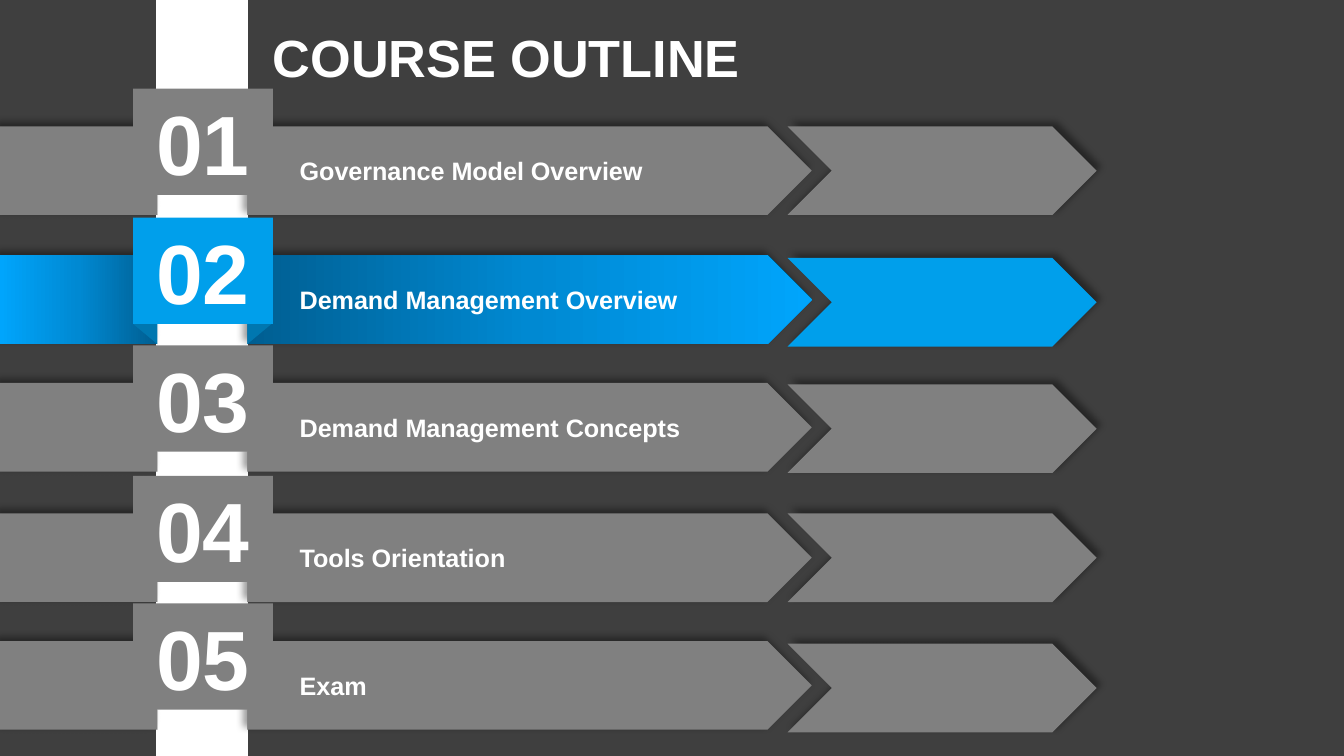
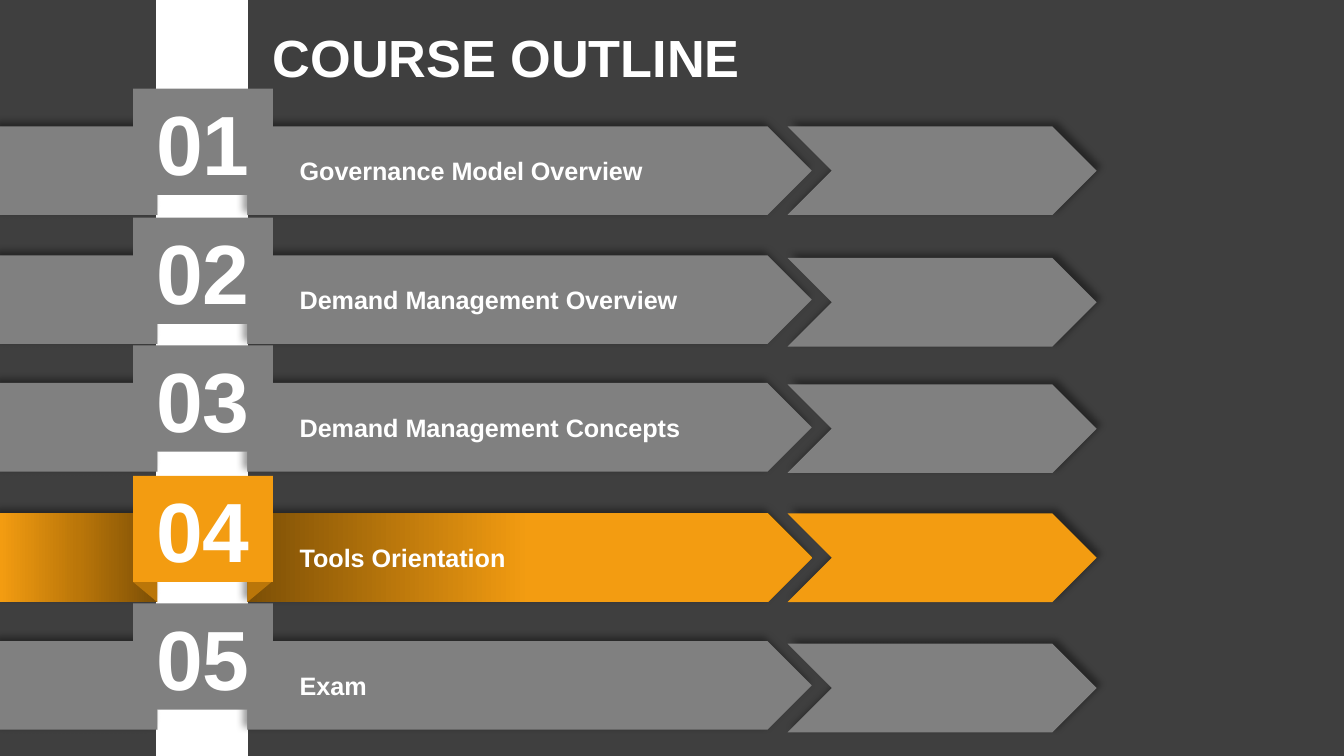
from copy import deepcopy

from lxml import etree
from pptx import Presentation
from pptx.dml.color import RGBColor
from pptx.enum.shapes import MSO_SHAPE
from pptx.enum.text import MSO_ANCHOR, MSO_AUTO_SIZE, PP_ALIGN
from pptx.oxml.ns import qn
from pptx.util import Inches, Pt

RECT = MSO_SHAPE.RECTANGLE
PENTAGON = MSO_SHAPE.PENTAGON
CHEVRON = MSO_SHAPE.CHEVRON
TRIANGLE = MSO_SHAPE.RIGHT_TRIANGLE
LEFT, CENTER = PP_ALIGN.LEFT, PP_ALIGN.CENTER
TOP, MIDDLE = MSO_ANCHOR.TOP, MSO_ANCHOR.MIDDLE
NO_AUTOFIT = MSO_AUTO_SIZE.NONE

# Widescreen 16:9
SLIDE_WIDTH = 10
SLIDE_HEIGHT = SLIDE_WIDTH * 9 / 16

FONT = "Arial"
BACKGROUND, WHITE, GRAY = "3F3F3F", "FFFFFF", "808080"
TITLE = "COURSE OUTLINE"

# Each colour scheme: number box, folds, ribbon and tail (lists are gradients)
MUTED = dict(main=GRAY, fold=GRAY, ribbon=GRAY, tail=GRAY)
BLUE_STOPS = ["005E91", "0089D2", "00A5FC"]
BLUE = dict(main="009FEB", fold="0077B0", ribbon=BLUE_STOPS, tail=BLUE_STOPS)
ORANGE = dict(main="F39C11", fold="BA7609",
              ribbon=["7C4F06", "F39C11", "F39C11"],
              tail=["7C4F06", "BA7609", "F39C11"])

# Topic, top of its ribbon, top of its chevron
TOPICS = [
    ("Governance Model Overview", 0.94, 0.94),
    ("Demand Management Overview", 1.90, 1.92),
    ("Demand Management Concepts", 2.85, 2.86),
    ("Tools Orientation", 3.82, 3.82),
    ("Exam", 4.77, 4.79),
]
# Highlighted topic number and its scheme, one entry a slide
SLIDES = [(2, BLUE), (4, ORANGE)]

BAR_LEFT, BAR_WIDTH = 1.17, 0.67
BAR_RIGHT = BAR_LEFT + BAR_WIDTH
BAND_HEIGHT = 0.66
FOLD_WIDTH, FOLD_HEIGHT = 0.18, 0.15
BOX_LEFT, BOX_HEIGHT = BAR_LEFT - FOLD_WIDTH, 0.79


def rgb(color):
    return RGBColor.from_string(color)


class OutlineDeck:
    def __init__(self):
        self.prs = Presentation()
        self.prs.slide_width = Inches(SLIDE_WIDTH)
        self.prs.slide_height = Inches(SLIDE_HEIGHT)
        self.slide = None

    def new_slide(self):
        self.slide = self.prs.slides.add_slide(self.prs.slide_layouts[5])
        fill = self.slide.background.fill
        fill.solid()
        fill.fore_color.rgb = rgb(BACKGROUND)

    def text(self, sp, text, size, align, anchor, insets, indent=0):
        tf = sp.text_frame
        tf.text = text
        tf.word_wrap = True
        tf.auto_size = NO_AUTOFIT
        tf.vertical_anchor = anchor
        tf.margin_left = tf.margin_right = Inches(insets[0])
        tf.margin_top = tf.margin_bottom = Inches(insets[1])
        p = tf.paragraphs[0]
        p.alignment = align
        if indent:
            p_pr = p._p.get_or_add_pPr()
            p_pr.set("marL", str(Inches(indent)))
            p_pr.set("indent", "0")
        font = p.runs[0].font
        font.name, font.size, font.bold = FONT, Pt(size), True
        font.color.rgb = rgb(WHITE)

    def title(self, text):
        sp = self.slide.shapes.title
        sp.left, sp.top = Inches(1.93), Inches(0.09)
        sp.width, sp.height = Inches(9.32), Inches(0.63)
        self.text(sp, text, 28, LEFT, TOP, (0.1, 0.1))

    def shape(self, parent, kind, left, top, width, height, fill,
              angle=0, shadow=None):
        sp = parent.shapes.add_shape(kind, Inches(left), Inches(top),
                                     Inches(width), Inches(height))
        sp.line.fill.background()
        sp.shadow.inherit = False
        if isinstance(fill, list):
            self.gradient(sp, fill, angle)
        else:
            sp.fill.solid()
            sp.fill.fore_color.rgb = rgb(fill)
        if shadow is not None:
            self.shadow(sp, shadow)
        return sp

    def gradient(self, sp, colors, angle):
        sp.fill.gradient()
        sp.fill.gradient_angle = angle
        stops = sp._element.spPr.find(".//" + qn("a:gsLst"))
        while len(stops) < len(colors):
            stops.append(deepcopy(stops[0]))
        for i, stop in enumerate(sp.fill.gradient_stops):
            stop.position = i / (len(colors) - 1)
            stop.color.rgb = rgb(colors[i])

    def shadow(self, sp, direction):
        effects = sp._element.spPr.find(qn("a:effectLst"))
        outer = etree.SubElement(effects, qn("a:outerShdw"), blurRad=str(Pt(4)),
                                 dist=str(Pt(3)), dir=str(direction * 60000),
                                 algn="ctr", rotWithShape="0")
        color = etree.SubElement(outer, qn("a:srgbClr"), val="000000")
        etree.SubElement(color, qn("a:alpha"), val="40000")

    def bar(self):
        sp = self.shape(self.slide, RECT, BAR_LEFT, 0, BAR_WIDTH,
                        SLIDE_HEIGHT, WHITE)
        sp.line.color.rgb = rgb(WHITE)
        sp.line.width = Pt(1)

    def row(self, number, topic, top, scheme):
        group = self.slide.shapes.add_group_shape()
        # Ribbon on both sides of the bar
        ribbon = self.shape(group, PENTAGON, BAR_RIGHT, top, 4.2, BAND_HEIGHT,
                            scheme["ribbon"], shadow=225)
        self.text(ribbon, topic, 13.5, LEFT, MIDDLE, (0.07, 0.04), indent=0.32)
        self.shape(group, RECT, 0, top, BAR_LEFT, BAND_HEIGHT, scheme["tail"],
                   angle=180, shadow=225)
        # Folds under the number box
        fold_top = top + BAND_HEIGHT - FOLD_HEIGHT
        for left, flipped in ((BAR_RIGHT, True), (BOX_LEFT, False)):
            fold = self.shape(group, TRIANGLE, left, fold_top, FOLD_WIDTH,
                              FOLD_HEIGHT, scheme["fold"])
            fold.rotation = 180
            if flipped:
                fold._element.spPr.find(qn("a:xfrm")).set("flipH", "1")
        # Number box
        box = self.shape(group, RECT, BOX_LEFT, fold_top - BOX_HEIGHT, 1.04,
                         BOX_HEIGHT, scheme["main"])
        self.text(box, f"{number:02d}", 45, CENTER, MIDDLE, (0.07, 0.04))

    def chevron(self, top, scheme):
        self.shape(self.slide, CHEVRON, 5.86, top, 2.3, BAND_HEIGHT,
                   scheme["main"], shadow=315)


def main():
    deck = OutlineDeck()
    for highlighted, accent in SLIDES:
        deck.new_slide()
        deck.title(TITLE)
        deck.bar()
        for number, (topic, row_top, chevron_top) in enumerate(TOPICS, 1):
            scheme = accent if number == highlighted else MUTED
            deck.row(number, topic, row_top, scheme)
            deck.chevron(chevron_top, scheme)
    deck.prs.save("out.pptx")


if __name__ == "__main__":
    main()
